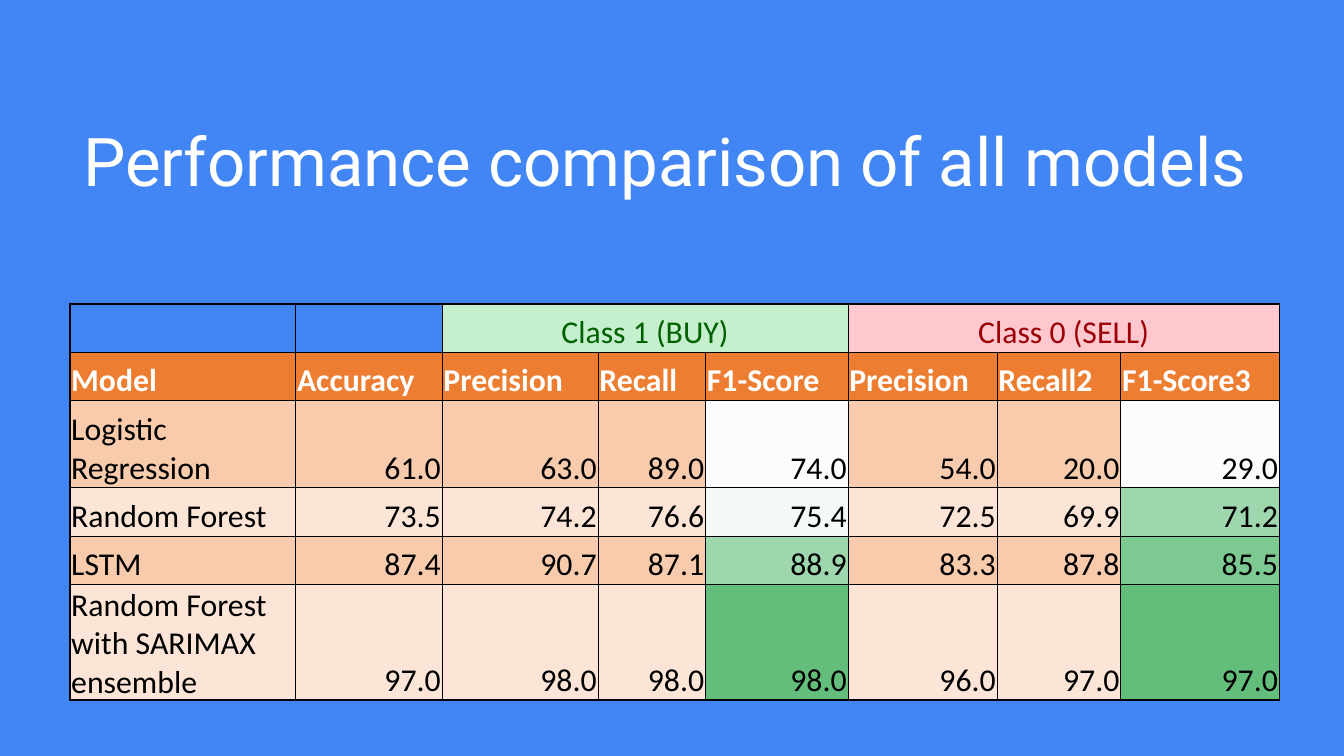
from lxml import etree
from pptx import Presentation
from pptx.dml.color import RGBColor
from pptx.enum.text import MSO_ANCHOR, PP_ALIGN
from pptx.oxml.ns import qn
from pptx.util import Inches, Pt

MIDDLE, BOTTOM = MSO_ANCHOR.MIDDLE, MSO_ANCHOR.BOTTOM
LEFT, CENTER, RIGHT = PP_ALIGN.LEFT, PP_ALIGN.CENTER, PP_ALIGN.RIGHT

BLUE, WHITE, BLACK = "4285F4", "FFFFFF", "000000"
BUY_FILL, BUY_TEXT = "C6EFCE", "006100"
SELL_FILL, SELL_TEXT = "FFC7CE", "9C0006"
HEADER_FILL = "ED7D31"
BAND_FILLS = ["F8CBAD", "FCE4D6"]

COLUMN_WIDTHS = [1.68, 1.09, 1.16, 0.8, 1.06, 1.11, 0.92, 1.18]
ROW_HEIGHTS = [0.36, 0.36, 0.65, 0.36, 0.36, 0.65]
HEADERS = ["Model", "Accuracy", "Precision", "Recall", "F1-Score",
           "Precision", "Recall2", "F1-Score3"]
MODELS = [
    ["Logistic Regression", 61.0, 63.0, 89.0, 74.0, 54.0, 20.0, 29.0],
    ["Random Forest", 73.5, 74.2, 76.6, 75.4, 72.5, 69.9, 71.2],
    ["LSTM", 87.4, 90.7, 87.1, 88.9, 83.3, 87.8, 85.5],
    ["Random Forest with SARIMAX ensemble", 97.0, 98.0, 98.0, 98.0, 96.0, 97.0, 97.0],
]
# Colour scale of the two F1 columns, one colour per model
F1_FILLS = {
    4: ["FCFCFF", "F4F9F8", "9ED6AE", "63BE7B"],
    7: ["FCFCFF", "9ED6AE", "7DC992", "63BE7B"],
}


def rgb(hex_color):
    return RGBColor.from_string(hex_color)


def style_cell(cell, text, fill, color, align, bold, border_widths):
    """Fill in one cell; border_widths are points for left, right, top, bottom."""
    cell.margin_left = cell.margin_right = cell.margin_top = Inches(0.01)
    cell.margin_bottom = 0
    cell.vertical_anchor = BOTTOM
    properties = cell._tc.get_or_add_tcPr()
    for side, width in zip("LRTB", border_widths):
        line = etree.SubElement(properties, qn(f"a:ln{side}"), w=str(Pt(width)))
        solid = etree.SubElement(line, qn("a:solidFill"))
        etree.SubElement(solid, qn("a:srgbClr"), val=BLACK)
    if fill:
        cell.fill.solid()
        cell.fill.fore_color.rgb = rgb(fill)
    else:
        cell.fill.background()
    if text:
        paragraph = cell.text_frame.paragraphs[0]
        paragraph.alignment = align
        run = paragraph.add_run()
        run.text = text
        run.font.name = "Calibri"
        run.font.size = Pt(17)
        run.font.bold = bold
        run.font.color.rgb = rgb(color)


presentation = Presentation()
presentation.slide_width = Inches(10)
presentation.slide_height = Inches(10) * 9 // 16
slide = presentation.slides.add_slide(presentation.slide_layouts[6])
slide.background.fill.solid()
slide.background.fill.fore_color.rgb = rgb(BLUE)

# Title
title_frame = slide.shapes.add_textbox(
    Inches(0.52), Inches(0.81), Inches(8.99), Inches(0.84)).text_frame
title_frame.word_wrap = True
title_frame.vertical_anchor = MIDDLE
title_frame.margin_left = title_frame.margin_right = Inches(0.1)
title_frame.margin_top = title_frame.margin_bottom = Inches(0.1)
title_line = title_frame.paragraphs[0]
title_line.line_spacing = 0.9
title = title_line.add_run()
title.text = "Performance comparison of all models"
title.font.name = "Roboto"
title.font.size = Pt(36)
title.font.color.rgb = rgb(WHITE)

# Rows of (text, fill, text colour, alignment, bold)
no_class = ("", None, BLACK, LEFT, False)
class_row = [no_class] * 2
for label, fill, color in [("Class 1 (BUY)", BUY_FILL, BUY_TEXT),
                           ("Class 0 (SELL)", SELL_FILL, SELL_TEXT)]:
    class_row.append((label, fill, color, CENTER, False))
    class_row += [("", fill, color, CENTER, False)] * 2
content = [class_row, [(header, HEADER_FILL, WHITE, LEFT, True) for header in HEADERS]]
for index, (model, *scores) in enumerate(MODELS):
    band = BAND_FILLS[index % 2]
    model_row = [(model, band, BLACK, LEFT, False)]
    for column, score in enumerate(scores, start=1):
        fill = F1_FILLS[column][index] if column in F1_FILLS else band
        model_row.append((f"{score:.1f}", fill, BLACK, RIGHT, False))
    content.append(model_row)

# Table
last_row, last_column = len(ROW_HEIGHTS) - 1, len(COLUMN_WIDTHS) - 1
table_frame = slide.shapes.add_table(
    len(ROW_HEIGHTS), len(COLUMN_WIDTHS), Inches(0.52), Inches(2.26),
    Inches(8.99), Inches(2.98))
scores_table = table_frame.table
scores_table.first_row = scores_table.horz_banding = False
for column, width in zip(scores_table.columns, COLUMN_WIDTHS):
    column.width = Inches(width)
for row, height in zip(scores_table.rows, ROW_HEIGHTS):
    row.height = Inches(height)
# Row and column sizes reset the frame, which must also hold the wrapped last row
table_frame.width, table_frame.height = Inches(8.99), Inches(2.98)

for r, row_content in enumerate(content):
    for c, cell_content in enumerate(row_content):
        on_edge = [c == 0, c == last_column, r == 0, r == last_row]
        border_widths = [1 if outer else 0.5 for outer in on_edge]
        style_cell(scores_table.cell(r, c), *cell_content, border_widths)
for first in (2, 5):
    scores_table.cell(0, first).merge(scores_table.cell(0, first + 2))

presentation.save("out.pptx")
